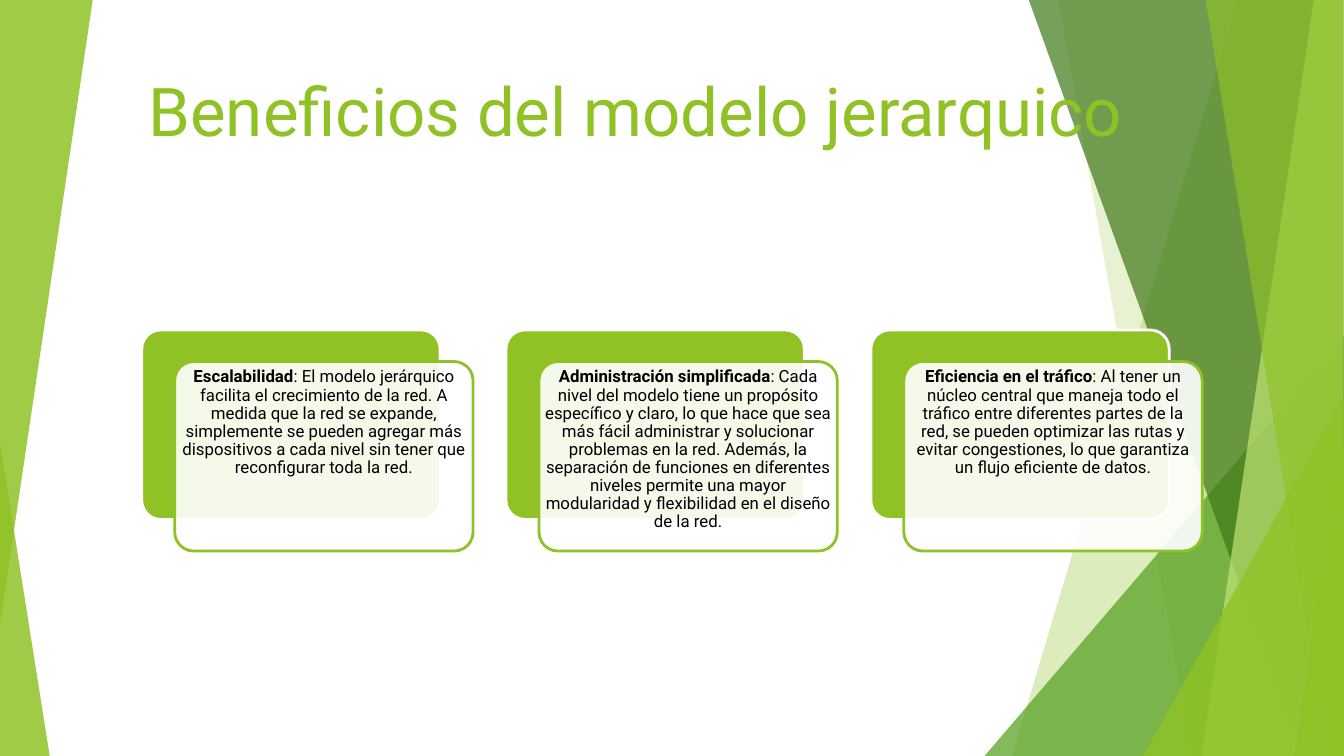
from lxml import etree
from pptx import Presentation
from pptx.dml.color import RGBColor
from pptx.enum.shapes import MSO_CONNECTOR, MSO_SHAPE
from pptx.enum.text import PP_ALIGN
from pptx.oxml.ns import qn
from pptx.util import Pt

PX = 9144  # one px is a hundredth of an inch
WIDTH, HEIGHT = 2000, 1125

LIME = RGBColor(0x90, 0xC2, 0x26)
GREEN = RGBColor(0x54, 0xA0, 0x21)
DARK_GREEN = RGBColor(0x3F, 0x78, 0x19)
PALE_LIME = RGBColor(0xC0, 0xE4, 0x74)
WHITE = RGBColor(0xFF, 0xFF, 0xFF)
BLACK = RGBColor(0x00, 0x00, 0x00)

TITLE_FORMAT = {"name": "Roboto", "size": Pt(72), "bold": False}
BODY_FORMAT = {"name": "Roboto", "size": Pt(18)}

RAYS = [((1536, 0), (1738, HEIGHT)), ((WIDTH, 603), (1217, HEIGHT))]

# Colour, opacity in percent, corners
FACETS = [
    (LIME, 30, [(1842, 0), (1999, 0), (1999, HEIGHT), (1506, HEIGHT)]),
    (LIME, 20, [(1575, 0), (WIDTH, 0), (WIDTH, HEIGHT), (1774, HEIGHT)]),
    (GREEN, 72, [(1465, HEIGHT), (WIDTH, 500), (WIDTH, HEIGHT)]),
    (DARK_GREEN, 70, [(1531, 0), (1999, 0), (1999, HEIGHT), (1937, HEIGHT)]),
    (PALE_LIME, 70, [(1955, 0), (1999, 0), (1999, HEIGHT), (1788, HEIGHT)]),
    (LIME, 65, [(1794, 0), (1999, 0), (1999, HEIGHT), (1976, HEIGHT)]),
    (LIME, 80, [(1701, HEIGHT), (1999, 589), (1999, HEIGHT)]),
    (LIME, 85, [(0, HEIGHT), (0, 658), (74, HEIGHT)]),
    (LIME, 85, [(138, 0), (0, 929), (0, 0)]),
    (LIME, 85, [(WIDTH, HEIGHT), (WIDTH, 658), (1926, HEIGHT)]),
]

BENEFITS = [
    ("Escalabilidad",
     ": El modelo jerárquico facilita el crecimiento de la red. A medida que la red "
     "se expande, simplemente se pueden agregar más dispositivos a cada nivel sin "
     "tener que reconfigurar toda la red."),
    ("Administración simplificada",
     ": Cada nivel del modelo tiene un propósito específico y claro, lo que hace que "
     "sea más fácil administrar y solucionar problemas en la red. Además, la "
     "separación de funciones en diferentes niveles permite una mayor modularidad y "
     "flexibilidad en el diseño de la red."),
    ("Eficiencia en el tráfico",
     ": Al tener un núcleo central que maneja todo el tráfico entre diferentes partes "
     "de la red, se pueden optimizar las rutas y evitar congestiones, lo que "
     "garantiza un flujo eficiente de datos."),
]


def emu(*lengths):
    return [length * PX for length in lengths]


def fill_shape(shape, color, opacity=100):
    shape.shadow.inherit = False
    shape.fill.solid()
    shape.fill.fore_color.rgb = color
    if opacity < 100:
        color_element = shape.fill._xPr.find(qn("a:solidFill"))[0]
        etree.SubElement(color_element, qn("a:alpha")).set("val", str(opacity * 1000))


def add_text(slide, box, runs, color, font_format, line_spacing, alignment):
    """Place one paragraph; runs are (text, bold) pairs."""
    frame = slide.shapes.add_textbox(*emu(*box)).text_frame
    frame.word_wrap = True
    for side in ("left", "top", "right", "bottom"):
        setattr(frame, f"margin_{side}", 0)
    paragraph = frame.paragraphs[0]
    paragraph.alignment = alignment
    paragraph.line_spacing = Pt(line_spacing)
    for text, bold in runs:
        run = paragraph.add_run()
        run.text = text
        for name, value in {**font_format, "bold": bold}.items():
            setattr(run.font, name, value)
        run.font.color.rgb = color


def add_rays(slide):
    for start, end in RAYS:
        ray = slide.shapes.add_connector(MSO_CONNECTOR.STRAIGHT, *emu(*start, *end))
        ray.line.color.rgb = WHITE
        ray.line.width = Pt(0.75)
        etree.SubElement(ray._element.spPr, qn("a:effectLst"))


def add_facets(slide):
    for color, opacity, corners in FACETS:
        builder = slide.shapes.build_freeform(*corners[0], scale=PX)
        builder.add_line_segments(corners[1:], close=True)
        facet = builder.convert_to_shape()
        fill_shape(facet, color, opacity)
        facet.line.fill.background()


def add_panel(slide, box, color, opacity, border):
    panel = slide.shapes.add_shape(MSO_SHAPE.ROUNDED_RECTANGLE, *emu(*box))
    panel.adjustments[0] = 0.1
    fill_shape(panel, color, opacity)
    panel.line.color.rgb = border
    panel.line.width = Pt(3)


def add_benefit(slide, box, heading, description):
    left, top, width, height = box
    offset_x, offset_y = 49, 47
    padding_x, padding_y = 8, 10
    front_left, front_top = left + offset_x, top + offset_y
    add_panel(slide, box, LIME, 100, WHITE)
    add_panel(slide, (front_left, front_top, width, height), WHITE, 90, LIME)
    text_box = (front_left + padding_x, front_top + padding_y,
                width - 2 * padding_x, height - 2 * padding_y)
    add_text(slide, text_box, [(heading, True), (description, False)],
             BLACK, BODY_FORMAT, 19.4, PP_ALIGN.CENTER)


def add_benefits(slide, box):
    left, top, width, height = box
    card_width = 444
    pitch = (width - card_width) / (len(BENEFITS) - 1)
    for index, (heading, description) in enumerate(BENEFITS):
        card = (left + int(index * pitch), top, card_width, height)
        add_benefit(slide, card, heading, description)


def main():
    presentation = Presentation()
    presentation.slide_width, presentation.slide_height = emu(WIDTH, HEIGHT)
    slide = presentation.slides.add_slide(presentation.slide_layouts[6])

    # Background decoration
    add_rays(slide)
    add_facets(slide)

    # Title
    add_text(slide, (221, 103, 1653, 122), [("Beneficios del modelo jerarquico", False)],
             LIME, TITLE_FORMAT, 86.4, PP_ALIGN.LEFT)

    # Row of benefit cards
    add_benefits(slide, (211, 491, 1529, 282))

    presentation.save("out.pptx")


if __name__ == "__main__":
    main()
